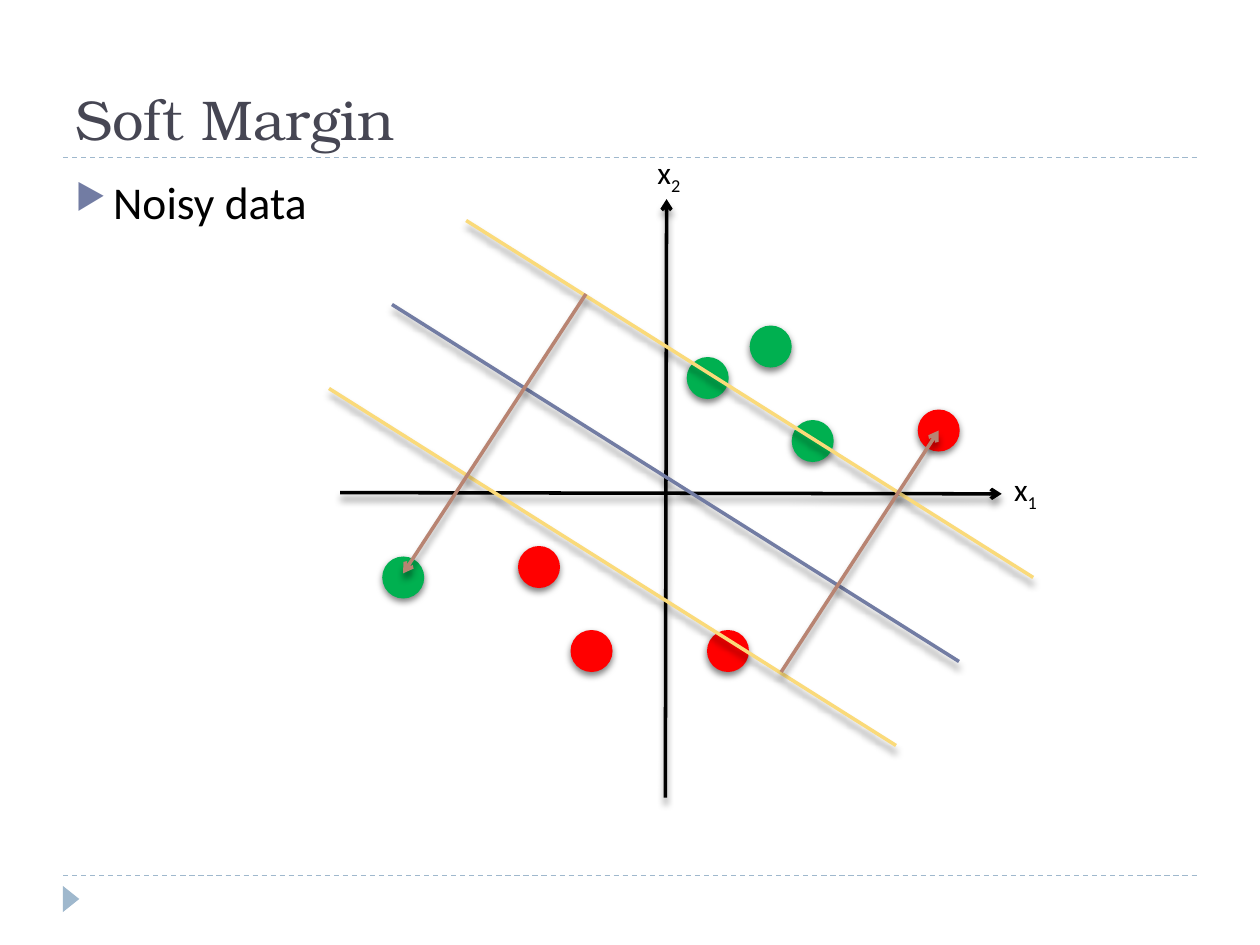
from pptx import Presentation
from pptx.dml.color import RGBColor
from pptx.enum.dml import MSO_LINE
from pptx.enum.shapes import MSO_CONNECTOR, MSO_SHAPE
from pptx.enum.text import MSO_ANCHOR
from pptx.oxml.ns import qn
from pptx.util import Pt
from lxml.etree import SubElement

HUES = {
    "ink": "000000", "title": "464653", "rule": "9FB8CD", "blue": "727CA3",
    "gold": "FADA7A", "brown": "B88472", "green": "00B050", "red": "FF0000",
}
DOT = 24
RUN, DROP = 324, 204


def hue(name):
    return RGBColor.from_string(HUES[name])


def add_glow(effects, alpha, dist):
    shade = SubElement(effects, qn("a:outerShdw"), blurRad=str(Pt(4)),
                       dist=str(Pt(dist)), dir="5400000", rotWithShape="0")
    tint = SubElement(shade, qn("a:srgbClr"), val=HUES["ink"])
    SubElement(tint, qn("a:alpha"), val=str(alpha * 1000))


def add_line(slide, start, end, color, width=2, arrow=False, dash=False):
    line = slide.shapes.add_connector(
        MSO_CONNECTOR.STRAIGHT, *[Pt(v) for v in (*start, *end)])
    line.line.color.rgb = hue(color)
    line.line.width = Pt(width)
    if dash:
        line.line.dash_style = MSO_LINE.DASH
    props = line._element.spPr
    if arrow:
        SubElement(props.find(qn("a:ln")), qn("a:tailEnd"), type="arrow")
    effects = SubElement(props, qn("a:effectLst"))
    if not dash:
        add_glow(effects, 40, 3.4)


def add_solid(slide, kind, box, color):
    shape = slide.shapes.add_shape(kind, *[Pt(v) for v in box])
    shape.fill.solid()
    shape.fill.fore_color.rgb = hue(color)
    shape.line.fill.background()
    shape.shadow.inherit = False
    return shape


def add_dot(slide, left, top, color):
    dot = add_solid(slide, MSO_SHAPE.OVAL, (left, top, DOT, DOT), color)
    add_glow(dot._element.spPr.find(qn("a:effectLst")), 50, 2)


def add_box(slide, box, wrap=True, anchor=MSO_ANCHOR.TOP):
    frame = slide.shapes.add_textbox(*[Pt(v) for v in box]).text_frame
    frame.word_wrap = wrap
    frame.vertical_anchor = anchor
    return frame.paragraphs[0]


def add_run(para, text, size, color="ink", font="Calibri"):
    run = para.add_run()
    run.text = text
    run.font.size = Pt(size)
    run.font.name = font
    run.font.color.rgb = hue(color)
    return run


def add_bullet(para):
    props = para._p.get_or_add_pPr()
    props.set("marL", str(Pt(21.6)))
    props.set("indent", str(Pt(-21.6)))
    tint = SubElement(props, qn("a:buClr"))
    SubElement(tint, qn("a:srgbClr"), val=HUES["blue"])
    SubElement(props, qn("a:buSzPct"), val="76000")
    SubElement(props, qn("a:buChar"), char="▶")


def add_label(slide, left, top, index):
    para = add_box(slide, (left, top, 29.5, 28.8), wrap=False)
    add_run(para, "x", 18)
    sub = add_run(para, index, 18)
    sub.font._element.set("baseline", "-25000")


def main():
    deck = Presentation()
    deck.slide_width, deck.slide_height = Pt(720), Pt(540)
    slide = deck.slides.add_slide(deck.slide_layouts[6])

    for y in (500.4, 90):
        add_line(slide, (36, y), (684, y), "rule", 0.75, dash=True)
    mark = add_solid(slide, MSO_SHAPE.ISOSCELES_TRIANGLE,
                     (33.1, 509, 15, 9.4), "rule")
    mark.rotation = 90

    title = add_box(slide, (36, 12.2, 648, 77.8), anchor=MSO_ANCHOR.BOTTOM)
    add_run(title, "Soft Margin", 32, "title", "TeX Gyre Bonum")
    body = add_box(slide, (36, 95.8, 648, 388.8))
    add_bullet(body)
    add_run(body, "Noisy data", 26)

    add_line(slide, (380.2, 455.8), (380.9, 113.8), "ink", arrow=True)
    add_line(slide, (194.4, 281.5), (572.4, 282.2), "ink", arrow=True)
    add_label(slide, 572.4, 265, "1")
    add_label(slide, 368.6, 84.2, "2")

    for left, top, color in (
            (428.4, 186, "green"), (452.4, 240, "green"), (392.4, 204, "green"),
            (296, 312, "red"), (326, 360, "red"), (404, 360, "red")):
        add_dot(slide, left, top, color)
    for x, y, color in ((188, 222, "gold"), (266.4, 126, "gold"),
                        (224, 174, "blue")):
        add_line(slide, (x, y), (x + RUN, y + DROP), color)

    add_dot(slide, 524.4, 234, "red")
    add_dot(slide, 218.4, 318, "green")
    add_line(slide, (446.4, 384), (536.4, 246), "brown", arrow=True)
    add_line(slide, (334.8, 168), (230.4, 327.6), "brown", arrow=True)

    deck.save("out.pptx")


if __name__ == "__main__":
    main()
